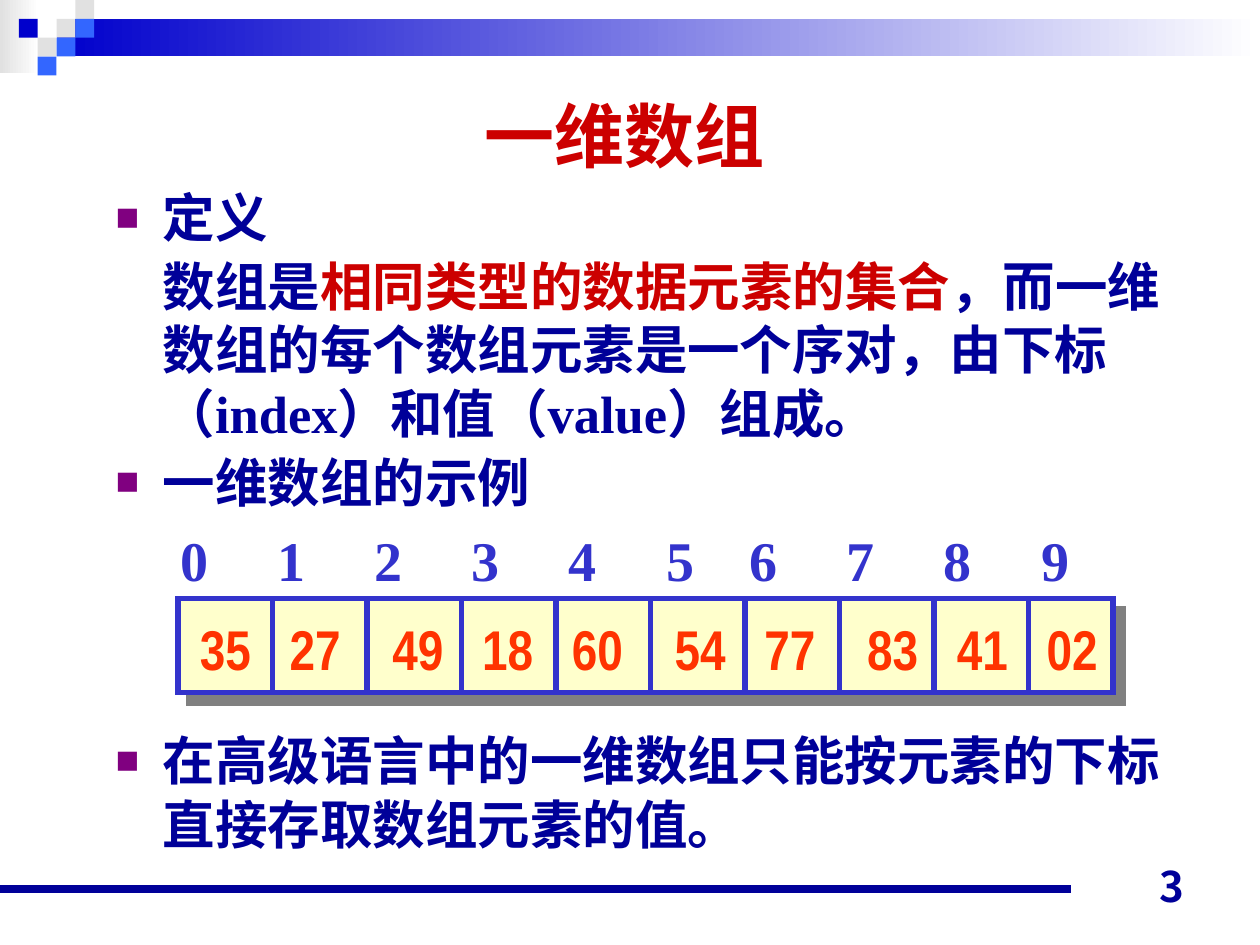
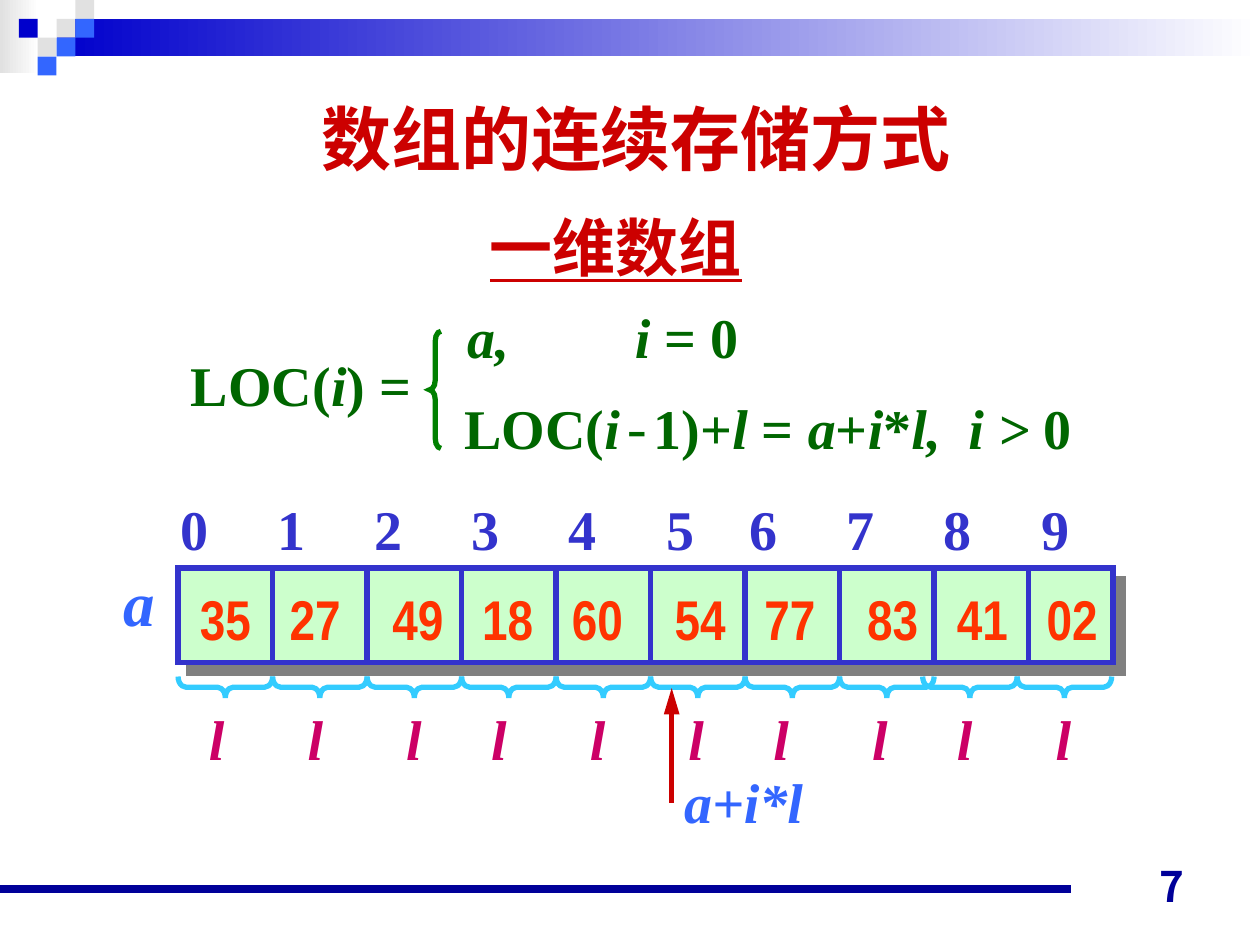
from itertools import accumulate

from lxml.etree import SubElement
from pptx import Presentation
from pptx.dml.color import RGBColor
from pptx.enum.shapes import MSO_CONNECTOR as Connector, MSO_SHAPE as Shape
from pptx.enum.text import MSO_ANCHOR as Anchor, MSO_AUTO_SIZE as AutoSize, PP_ALIGN as Align
from pptx.oxml.ns import qn
from pptx.util import Cm, Pt

NAVY, RED, BLUE, SKY, GREY = "000099", "CC0000", "0000CC", "3366FF", "E1E1E1"
GREEN, BRACE_GREEN, BULLET = "006600", "008000", "800080"
FRAME, VALUE, MAGENTA, CYAN = "3333CC", "FF3300", "CC0066", "33CCFF"
SANS, SERIF, NARROW, MONO = "Arial", "Times New Roman", "Arial Narrow", "Courier New"
CHINESE = "Noto Sans CJK JP"

ARRAY_LEFT, ARRAY_WIDTH = 3.59, 18.85
CELL = 19.05 / 10
VALUES = "35 27 49 18 60 54 77 83 41 02".split()
INDEXES = [str(index) for index in range(len(VALUES))]
TILE = 0.38
TILES = [(3, 1, GREY), (4, 0, GREY), (4, 1, SKY), (2, 2, GREY),
         (1, 1, BLUE), (3, 2, SKY), (2, 3, SKY)]
UPRIGHT = {"italic": False}


def color(code):
    return RGBColor.from_string(code)


def add_element(parent, tag, **attributes):
    return SubElement(parent, qn(tag), attributes)


class SlideWriter:
    def __init__(self):
        self.deck = Presentation()
        self.deck.slide_width = Cm(25.4)
        self.deck.slide_height = Cm(19.05)
        self.page = None

    def add_page(self, title, number, left, top, width, height):
        self.page = self.deck.slides.add_slide(self.deck.slide_layouts[5])
        self.gradient(0, 0, 0.79, 1.47, GREY)
        self.gradient(3 * TILE, TILE, 25.4 - 3 * TILE, 2 * TILE, BLUE)
        for column, row, code in TILES:
            self.shape(Shape.RECTANGLE, column * TILE, row * TILE, TILE, TILE, fill=code)
        self.line(0, 17.93, 21.59, 17.93, NAVY, 4.5)

        heading = self.page.shapes.title
        heading.left, heading.top, heading.width, heading.height = map(
            Cm, (left, top, width, height))
        heading.text_frame.auto_size = AutoSize.NONE
        heading.text_frame.vertical_anchor = Anchor.MIDDLE
        self.paragraph(heading.text_frame.paragraphs[0], title, align=Align.CENTER,
                       name=SANS, size=40, code=RED)
        self.text(number, 18.21, 17.22, 5.92, 1.27, anchor=Anchor.BOTTOM,
                  align=Align.RIGHT, name=CHINESE, size=24, code=NAVY)

    def shape(self, kind, left, top, width, height, fill=None, line=None):
        box = self.page.shapes.add_shape(kind, Cm(left), Cm(top), Cm(width), Cm(height))
        box.shadow.inherit = False
        if fill:
            box.fill.solid()
            box.fill.fore_color.rgb = color(fill)
        else:
            box.fill.background()
        if line:
            box.line.color.rgb = color(line)
            box.line.width = Pt(3)
            add_element(box.line._get_or_add_ln(), "a:miter", lim="800000")
        else:
            box.line.fill.background()
        return box

    def gradient(self, left, top, width, height, code):
        box = self.shape(Shape.RECTANGLE, left, top, width, height)
        box.fill.gradient()
        box.fill.gradient_angle = 0
        for stop, shade in zip(box.fill.gradient_stops, (code, "FFFFFF")):
            stop.color.rgb = color(shade)

    def line(self, x1, y1, x2, y2, code, width=3, arrow=False):
        line = self.page.shapes.add_connector(
            Connector.STRAIGHT, Cm(x1), Cm(y1), Cm(x2), Cm(y2))
        line.line.color.rgb = color(code)
        line.line.width = Pt(width)
        if arrow:
            add_element(line.line._get_or_add_ln(), "a:tailEnd", type="triangle", len="lg")
        add_element(line._element.spPr, "a:effectLst")

    def brace(self, left, top, width, height, code, curve, rotation=0):
        brace = self.shape(Shape.LEFT_BRACE, left, top, width, height, line=code)
        brace.adjustments[0] = curve
        brace.rotation = rotation

    def font(self, font, name=None, size=None, code=None, bold=None, italic=None,
             underline=None):
        if name:
            font.name = name
        if size:
            font.size = Pt(size)
        if code:
            font.color.rgb = color(code)
        font.bold, font.italic, font.underline = bold, italic, underline

    def paragraph(self, para, spans, align=None, before=0, spacing=None, indent=0,
                  bullet=False, **style):
        para.alignment = align
        para.space_before = Pt(before)
        if spacing:
            para.line_spacing = Pt(spacing)
        properties = para._p.get_or_add_pPr()
        properties.set("marL", str(Cm(indent)))
        properties.set("indent", str(-Cm(indent) if bullet else 0))
        if bullet:
            add_element(add_element(properties, "a:buClr"), "a:srgbClr", val=BULLET)
            add_element(properties, "a:buSzPct", val="75000")
            add_element(properties, "a:buFont", typeface=SANS)
            add_element(properties, "a:buChar", char="■")
        else:
            add_element(properties, "a:buNone")
        self.font(para.font, **{"bold": True, **style})
        add_element(properties.find(qn("a:defRPr")), "a:ea", typeface=CHINESE)
        for text, changes in [(spans, {})] if isinstance(spans, str) else spans:
            span = para.add_run()
            span.text = text
            if changes:
                self.font(span.font, **changes)

    def frame(self, left, top, width, height, anchor=Anchor.TOP):
        box = self.page.shapes.add_textbox(Cm(left), Cm(top), Cm(width), Cm(height))
        box.text_frame.word_wrap = True
        box.text_frame.vertical_anchor = anchor
        return box.text_frame

    def text(self, spans, left, top, width, height, anchor=Anchor.TOP, **style):
        frame = self.frame(left, top, width, height, anchor)
        self.paragraph(frame.paragraphs[0], spans, **style)

    def formula(self, spans, left, top, width, code=GREEN, size=32):
        self.text(spans, left, top, width, 1.63, name=SERIF, size=size, code=code,
                  italic=True)

    def row(self, items, left, top, advance, space, gaps, **style):
        steps = (advance + space * int(gap) for gap in gaps)
        for item, x in zip(items, accumulate(steps, initial=left)):
            self.text(item, x, top, 1.8, 1.63, size=32, **style)

    def array(self, top, fill):
        box = self.shape(Shape.RECTANGLE, ARRAY_LEFT, top, ARRAY_WIDTH, CELL, fill, FRAME)
        effects = box._element.spPr.find(qn("a:effectLst"))
        shadow = add_element(effects, "a:outerShdw", dist=str(Pt(8.5)), dir="2700000",
                             algn="ctr", rotWithShape="0")
        add_element(shadow, "a:srgbClr", val="808080")
        for index in range(1, len(VALUES)):
            x = ARRAY_LEFT + index * CELL
            self.line(x, top, x, top + CELL, FRAME)
        self.row(VALUES, 3.78, top + 0.2, 1.03, 0.26, "343343433", name=NARROW, code=VALUE)
        self.row(INDEXES, 3.38, top - 1.6, 0.56, 0.28, "555554555", name=SERIF, code=FRAME)

    def definition_page(self):
        self.add_page("一维数组", "3", 3.07, 1.27, 19.05, 2.87)
        definition = [
            ("数组是", {}),
            ("相同类型的数据元素的集合", {"code": RED}),
            ("，而一维数组的每个数组元素是一个序对，由下标（index）和值（value）组成。", {}),
        ]
        items = [
            ("定义", True, 0, SANS),
            (definition, False, 3, SERIF),
            ("一维数组的示例", True, 3, SANS),
            ("在高级语言中的一维数组只能按元素的下标直接存取数组元素的值。", True, 123, SANS),
        ]
        frame = self.frame(2.08, 3.6, 22.17, 14)
        for index, (spans, bullet, before, name) in enumerate(items):
            para = frame.add_paragraph() if index else frame.paragraphs[0]
            self.paragraph(para, spans, bullet=bullet, before=before, spacing=36.3,
                           indent=0.95, name=name, size=30, code=NAVY)
        self.array(12.06, "FFFFCC")

    def storage_page(self):
        self.add_page("数组的连续存储方式", "7", 6.15, 1.55, 13.34, 2.46)
        self.text("一维数组", 7.87, 4.07, 9.09, 1.9, align=Align.CENTER,
                  name=SANS, size=36, code=RED, underline=True)

        self.brace(8.66, 6.68, 0.23, 2.36, BRACE_GREEN, 0.86)
        self.formula([("LOC(", UPRIGHT), ("i", {}), (") =", UPRIGHT)], 3.6, 6.95, 5.7)
        self.formula("a,", 9.17, 5.98, 2)
        self.formula([("i ", {}), ("= 0", UPRIGHT)], 12.55, 5.98, 4)
        self.formula([
            ("LOC(", UPRIGHT), ("i", {}),
            ("-", {"name": MONO, "bold": False, "italic": False}),
            ("1)+", UPRIGHT), ("l", {}), (" = ", UPRIGHT), ("a", {}), ("+", UPRIGHT),
            ("i", {}), ("*", UPRIGHT), ("l,\ti >", {}), (" 0", UPRIGHT),
        ], 9.11, 7.8, 14.6)

        top = 11.45
        self.array(top, "CCFFCC")
        self.formula("a", 2.24, top - 0.22, 1.3, code=SKY, size=36)
        depth = 0.43
        for index in range(len(VALUES)):
            overlap = 0.23 if index > 7 else 0
            center = ARRAY_LEFT + (index + 0.5) * CELL - overlap
            self.brace(center - depth / 2, 12.9, depth, CELL, CYAN, 0.37, 270)
        self.row("l" * len(VALUES), 3.96, 14.07, 0.31, 0.28, "665665656",
                 name=SERIF, code=MAGENTA, italic=True)
        self.line(13.54, 16.18, 13.54, 13.87, RED, arrow=True)
        self.formula("a+i*l", 13.54, 15.34, 3.2, code=SKY)


def main():
    writer = SlideWriter()
    writer.definition_page()
    writer.storage_page()
    writer.deck.save("out.pptx")


if __name__ == "__main__":
    main()
